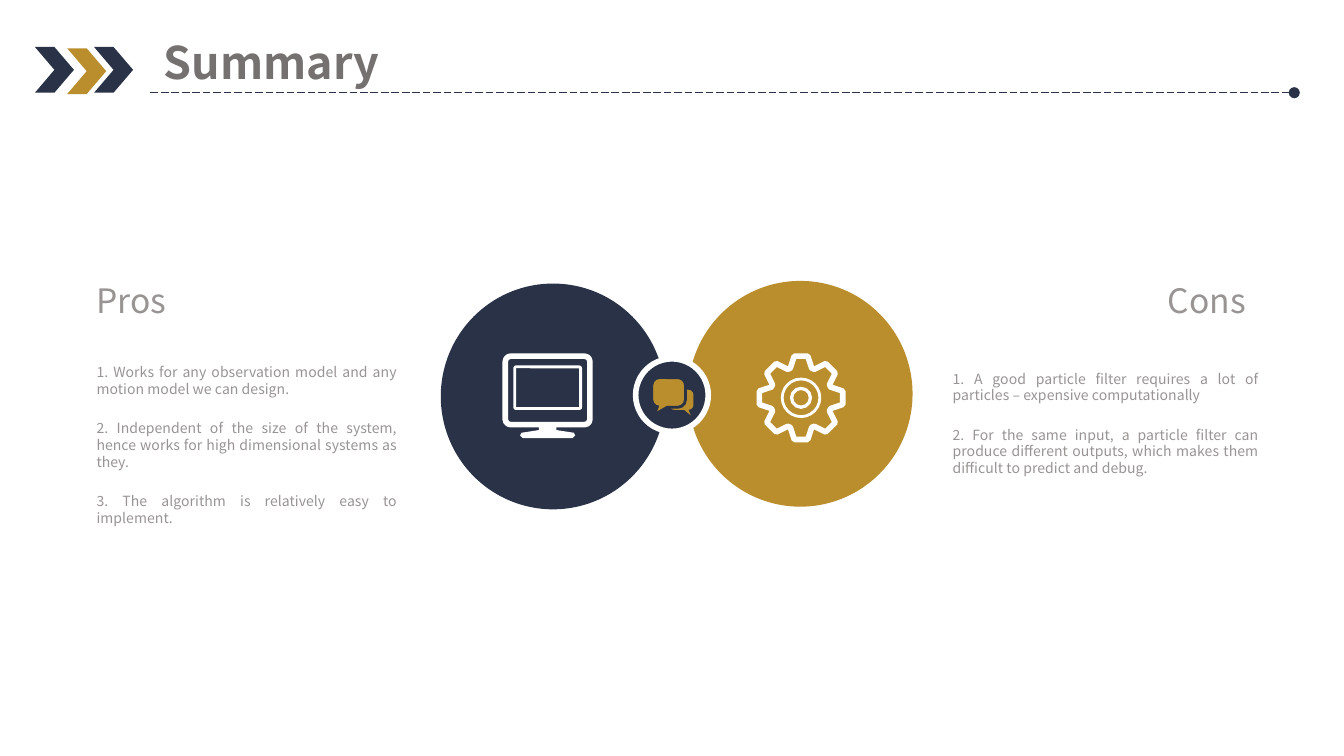
import math

import pptx
import pptx.dml.color
import pptx.enum.dml
import pptx.enum.shapes
import pptx.enum.text
import pptx.oxml
import pptx.oxml.ns
import pptx.util

Inches, Pt = pptx.util.Inches, pptx.util.Pt
SHAPE = pptx.enum.shapes.MSO_SHAPE
ALIGN = pptx.enum.text.PP_ALIGN
ANCHOR = pptx.enum.text.MSO_ANCHOR

FONT = "Noto Sans CJK SC"
COLORS = {"navy": "293247", "gold": "BA8D2D", "white": "FFFFFF",
          "title": "767171", "text": "999494"}

PROS = ["1. Works for any observation model and any motion model we can design.",
        "2. Independent of the size of the system, hence works for high "
        "dimensional systems as they.",
        "3. The algorithm is relatively easy to implement."]
CONS = ["1. A good particle filter requires a lot of particles – expensive computationally",
        "2. For the same input, a particle filter can produce different outputs, "
        "which makes them difficult to predict and debug."]


def rgb(name):
    return pptx.dml.color.RGBColor.from_string(COLORS[name])


def paint(sp, fill=None, line=None, width=1):
    sp.shadow.inherit = False
    if fill:
        sp.fill.solid()
        sp.fill.fore_color.rgb = rgb(fill)
    else:
        sp.fill.background()
    if line:
        sp.line.color.rgb = rgb(line)
        sp.line.width = Pt(width)
    else:
        sp.line.fill.background()


def add_shape(s, kind, box, fill=None, line=None, width=1, corner=None):
    sp = s.shapes.add_shape(kind, *map(Inches, box))
    if corner is not None:
        sp.adjustments[0] = corner
    paint(sp, fill, line, width)


def add_polygon(s, points, fill=None, line=None, width=1):
    points = [(Inches(x), Inches(y)) for x, y in points]
    builder = s.shapes.build_freeform(*points[0])
    builder.add_line_segments(points[1:], close=True)
    paint(builder.convert_to_shape(), fill, line, width)


def add_text(s, box, paragraphs, size, color="text", align=ALIGN.LEFT, bold=False,
             anchor=ANCHOR.MIDDLE, wrap=True, inset=None, left_indent=0):
    tf = s.shapes.add_textbox(*map(Inches, box)).text_frame
    frame = {"word_wrap": wrap, "vertical_anchor": anchor}
    if inset is not None:
        for side in ("left", "top", "right", "bottom"):
            frame["margin_" + side] = Inches(inset)
    for name, value in frame.items():
        setattr(tf, name, value)
    for i, text in enumerate(paragraphs):
        p = tf.paragraphs[0] if i == 0 else tf.add_paragraph()
        p.alignment = align
        p.line_spacing = Pt(size * 1.2)
        if i:
            p.space_before = Pt(12)
        if left_indent:
            p._p.get_or_add_pPr().set("marL", str(Inches(left_indent)))
        r = p.add_run()
        r.text = text
        for name, value in {"name": FONT, "size": Pt(size), "bold": bold}.items():
            setattr(r.font, name, value)
        r.font.color.rgb = rgb(color)


def add_dotted_rule(s, x1, x2, y):
    """Dashed line that ends in a dot."""
    line = s.shapes.add_connector(pptx.enum.shapes.MSO_CONNECTOR.STRAIGHT,
                                  *map(Inches, (x1, y, x2, y)))
    line.line.color.rgb = rgb("navy")
    line.line.width = Pt(0.5)
    line.line.dash_style = pptx.enum.dml.MSO_LINE.LONG_DASH
    ns = pptx.oxml.ns.nsdecls("a")
    ln = line.line._get_or_add_ln()
    ln.append(pptx.oxml.parse_xml(f'<a:tailEnd {ns} type="oval"/>'))
    line._element.spPr.append(pptx.oxml.parse_xml(f"<a:effectLst {ns}/>"))


def add_header(s):
    for x, y, color in [(0.5, 0.36, "gold"), (0.7, 0.35, "navy"), (0.26, 0.35, "navy")]:
        add_shape(s, SHAPE.CHEVRON, (x, y, 0.29, 0.34), color)
    add_dotted_rule(s, 1.12, 9.63, 0.69)
    add_text(s, (1.12, 0.21, 1.83, 0.5), ["Summary"], 24, "title", bold=True,
             anchor=ANCHOR.TOP, wrap=False)


def add_chat_icon(s):
    add_shape(s, SHAPE.ROUNDED_RECTANGLE, (4.98, 2.9, 0.18, 0.15), "gold", corner=0.25)
    add_polygon(s, [(5.08, 3.04), (5.14, 3.09), (5.12, 3.04)], "gold")
    add_shape(s, SHAPE.ROUNDED_RECTANGLE, (4.85, 2.81, 0.25, 0.22), "gold", "navy", 1.5, 0.25)
    add_polygon(s, [(4.91, 3.01), (4.89, 3.06), (4.96, 3.02), (4.96, 3.01)], "gold")


def add_monitor_icon(s):
    add_shape(s, SHAPE.ROUNDED_RECTANGLE, (3.76, 2.65, 0.63, 0.51), None, "white", 3, 0.08)
    add_shape(s, SHAPE.ROUNDED_RECTANGLE, (3.83, 2.73, 0.49, 0.31), None, "white", 1.5, 0.03)
    add_polygon(s, [(4.01, 3.17), (4.14, 3.17), (4.14, 3.2), (4.27, 3.22), (4.28, 3.24),
                    (4.26, 3.26), (3.89, 3.26), (3.87, 3.24), (3.88, 3.22), (4.01, 3.2)],
                "white")


def add_gear_icon(s, cx, cy, teeth=8):
    tooth = [(-0.08, -0.22), (-0.05, -0.31), (0.05, -0.31), (0.08, -0.22)]
    outline = []
    for i in range(teeth):
        a = 2 * math.pi * i / teeth
        outline += [(cx + x * math.cos(a) - y * math.sin(a),
                     cy + x * math.sin(a) + y * math.cos(a)) for x, y in tooth]
    add_polygon(s, outline, None, "white", 3)
    for radius, width in [(0.14, 1.5), (0.07, 1.75)]:
        box = (cx - radius, cy - radius, 2 * radius, 2 * radius)
        add_shape(s, SHAPE.OVAL, box, None, "white", width)


def main():
    prs = pptx.Presentation()
    prs.slide_width, prs.slide_height = Inches(10), Inches(10 * 9 / 16)
    s = prs.slides.add_slide(prs.slide_layouts[6])

    add_shape(s, SHAPE.OVAL, (3.28, 2.11, 1.67, 1.68), "navy")
    add_shape(s, SHAPE.OVAL, (5.12, 2.09, 1.67, 1.68), "gold")
    add_shape(s, SHAPE.OVAL, (4.73, 2.67, 0.54, 0.54), "navy", "white", 3)
    add_chat_icon(s)
    for x, heading, align in [(0.56, "Pros", ALIGN.LEFT), (7.27, "Cons", ALIGN.RIGHT)]:
        add_text(s, (x, 2.03, 2, 0.4), [heading], 18, align=align, inset=0, left_indent=0.16)
    for box, points in [((0.62, 2.65, 2.43, 1.32), PROS), ((6.99, 2.7, 2.47, 0.9), CONS)]:
        add_text(s, box, points, 7.5, align=ALIGN.JUSTIFY)
    add_monitor_icon(s)
    add_gear_icon(s, 5.96, 2.96)
    add_header(s)

    prs.save("out.pptx")


if __name__ == "__main__":
    main()
